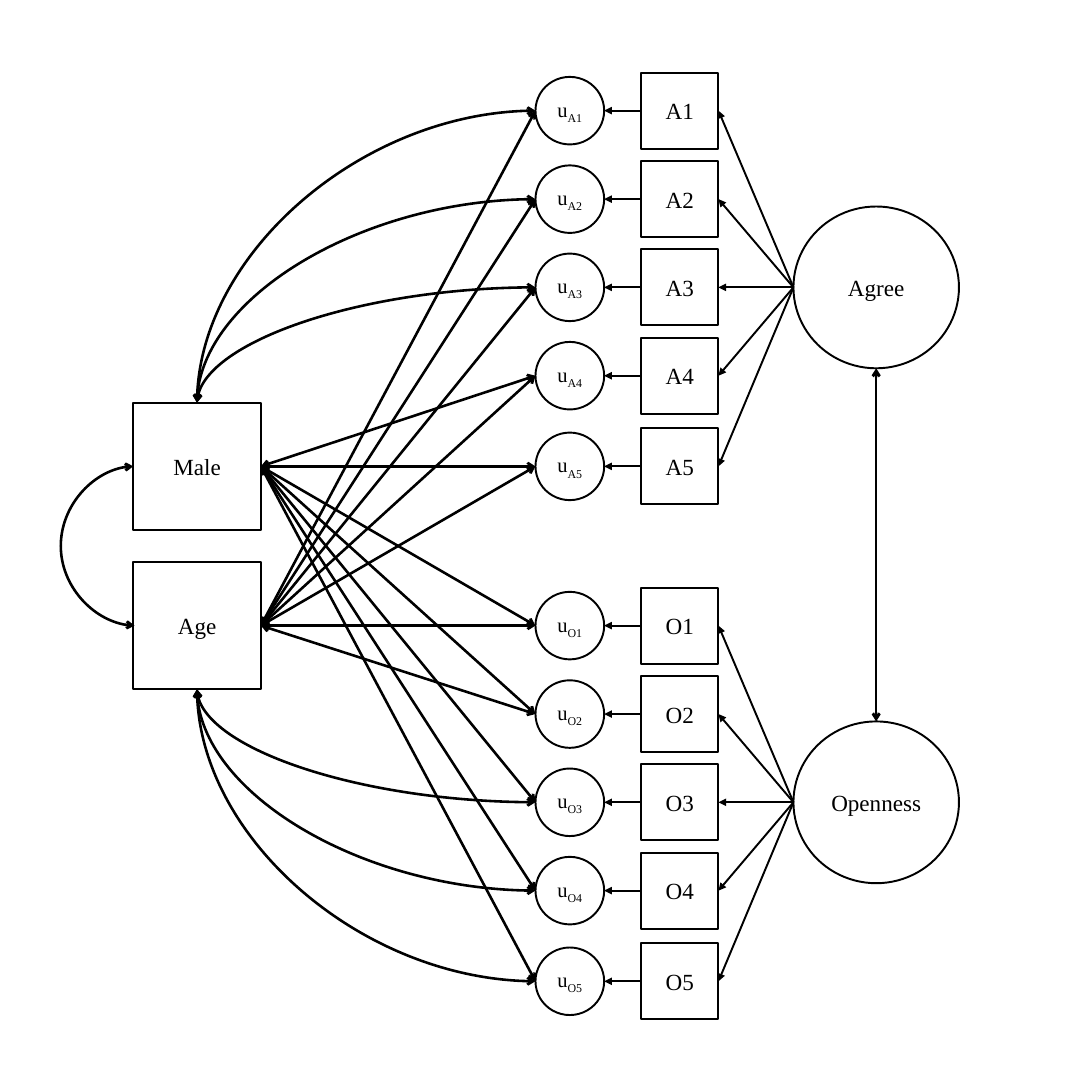
from pptx import Presentation
from pptx.dml.color import RGBColor
from pptx.enum import shapes, text
from pptx.oxml import ns
from pptx.util import Pt
from lxml import etree

COLORS = {"ink": "000000", "paper": "FFFFFF"}
FONT = "Times New Roman"
RECT, OVAL = shapes.MSO_SHAPE.RECTANGLE, shapes.MSO_SHAPE.OVAL
STRAIGHT, CURVE = shapes.MSO_CONNECTOR.STRAIGHT, shapes.MSO_CONNECTOR.CURVE
TOP, LEFT, BOTTOM, RIGHT = range(4)
ROWS = (86.2, 155.1, 223.8, 292.6, 363.2)
GROUP_STEP = 401


def color(name):
    return RGBColor.from_string(COLORS[name])


def add_node(s, kind, left, middle, width, height, label, subscript="", size=18):
    sp = s.shapes.add_shape(kind, Pt(left), Pt(middle - height / 2), Pt(width), Pt(height))
    sp.shadow.inherit = False
    sp.fill.solid()
    sp.fill.fore_color.rgb = color("paper")
    sp.line.color.rgb = color("ink")
    sp.line.width = Pt(1.5)
    tf = sp.text_frame
    tf.margin_left = tf.margin_right = tf.margin_top = tf.margin_bottom = 0
    tf.vertical_anchor = text.MSO_ANCHOR.MIDDLE
    tf.text = label
    p = tf.paragraphs[0]
    p.alignment = text.PP_ALIGN.CENTER
    if subscript:
        r = p.add_run()
        r.text = subscript
        r.font._element.set("baseline", "-25000")
    for r in p.runs:
        r.font.name = FONT
        r.font.size = Pt(size)
        r.font.color.rgb = color("ink")
    return sp


def side_point(sp, side):
    x, y = sp.left + sp.width // 2, sp.top + sp.height // 2
    return {
        TOP: (x, sp.top),
        LEFT: (sp.left, y),
        BOTTOM: (x, sp.top + sp.height),
        RIGHT: (sp.left + sp.width, y),
    }[side]


def style_link(c, width, arrows):
    c.line.color.rgb = color("ink")
    c.line.width = Pt(width)
    ln = c.line._ln
    for tag, kind in arrows.items():
        etree.SubElement(ln, ns.qn(f"a:{tag}"), type=kind)
    etree.SubElement(c._element.spPr, ns.qn("a:effectLst"))


def add_straight(s, start, start_side, end, end_side, double=False):
    c = s.shapes.add_connector(STRAIGHT, *side_point(start, start_side), *side_point(end, end_side))
    if start.auto_shape_type == RECT:
        c.begin_connect(start, start_side)
    if end.auto_shape_type == RECT:
        c.end_connect(end, end_side)
    if double:
        style_link(c, 2, {"headEnd": "arrow", "tailEnd": "arrow"})
    else:
        style_link(c, 1.5, {"tailEnd": "triangle"})


def add_curve(s, start, end, preset, bend=None):
    c = s.shapes.add_connector(CURVE, *start, *end)
    geom = c._element.spPr.find(ns.qn("a:prstGeom"))
    geom.set("prst", preset)
    if bend is not None:
        guides = geom.find(ns.qn("a:avLst"))
        etree.SubElement(guides, ns.qn("a:gd"), name="adj1", fmla=f"val {bend}")
    style_link(c, 2, {"headEnd": "arrow", "tailEnd": "arrow"})


def add_factor(s, name, letter, offset):
    factor = add_node(s, OVAL, 617.9, ROWS[2] + offset, 128.9, 126, name)
    errors = []
    for i, row in enumerate(ROWS, 1):
        code = f"{letter}{i}"
        item = add_node(s, RECT, 499.2, row + offset, 60.3, 59.2, code)
        error = add_node(s, OVAL, 417, row + offset, 53.5, 52.6, "u", code, 16)
        add_straight(s, factor, LEFT, item, RIGHT)
        add_straight(s, item, LEFT, error, RIGHT)
        errors.append(error)
    return factor, errors


def add_covariate(s, name, middle, curved_side, curved, direct):
    box = add_node(s, RECT, 103.8, middle, 99.4, 99.2, name)
    for error in curved:
        add_curve(s, side_point(error, LEFT), side_point(box, curved_side), "curvedConnector2")
    for error in direct:
        add_straight(s, box, RIGHT, error, LEFT, double=True)
    return box


def main():
    prs = Presentation()
    prs.slide_width = prs.slide_height = Pt(850.4)
    s = prs.slides.add_slide(prs.slide_layouts[6])

    agree, agree_errors = add_factor(s, "Agree", "A", 0)
    openness, openness_errors = add_factor(s, "Openness", "O", GROUP_STEP)
    add_straight(s, agree, BOTTOM, openness, TOP, double=True)

    male = add_covariate(s, "Male", ROWS[4], TOP,
                         agree_errors[:3], agree_errors[3:] + openness_errors)
    age = add_covariate(s, "Age", ROWS[0] + GROUP_STEP, BOTTOM,
                        openness_errors[2:], agree_errors + openness_errors[:2])
    x, y = side_point(age, LEFT)
    add_curve(s, (x + Pt(1), y), side_point(male, LEFT), "curvedConnector3", 5789200)

    prs.save("out.pptx")


if __name__ == "__main__":
    main()
